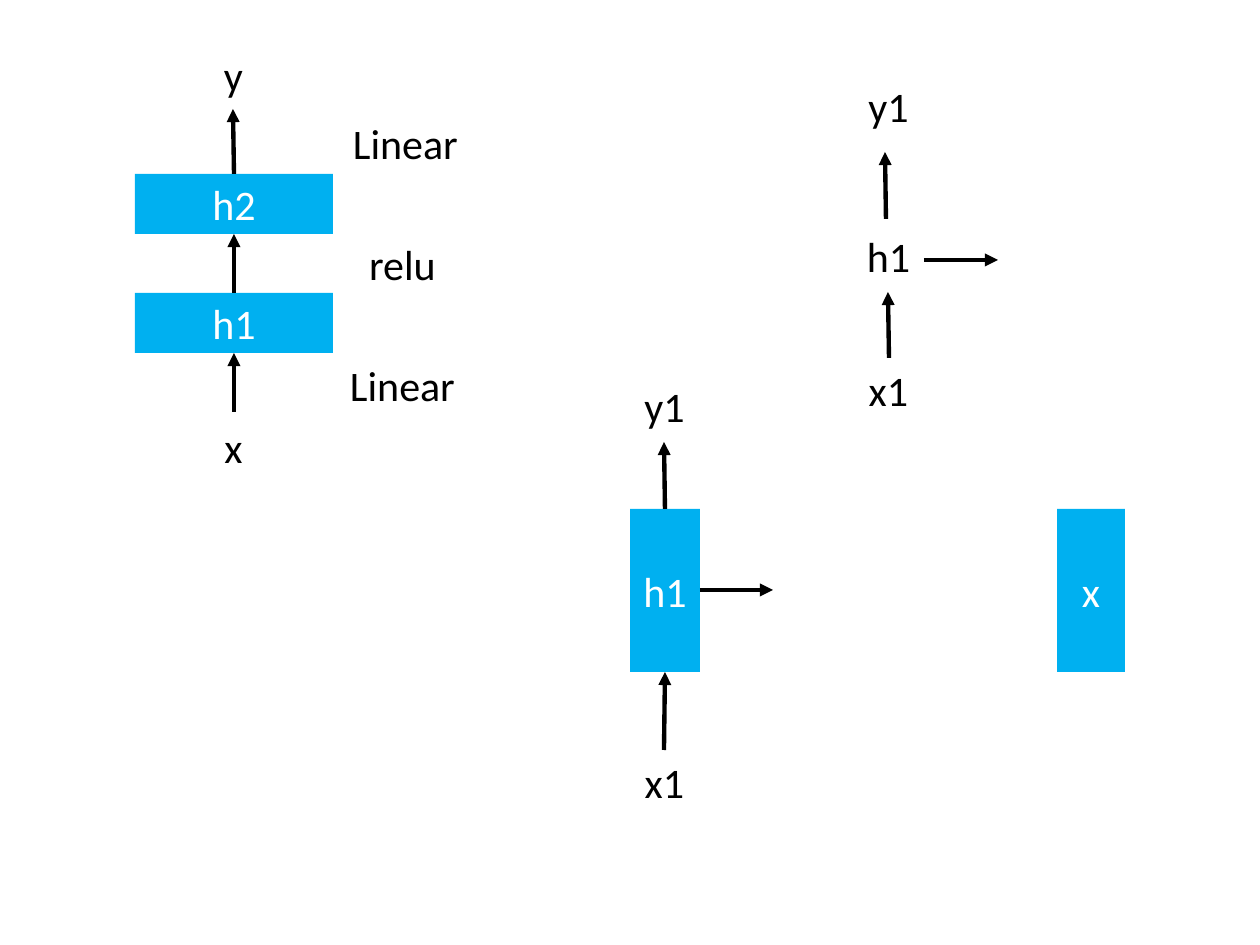
from dataclasses import dataclass

from lxml.etree import SubElement
from pptx import Presentation
from pptx.dml.color import RGBColor
from pptx.enum.shapes import MSO_CONNECTOR, MSO_SHAPE
from pptx.enum.text import MSO_ANCHOR, MSO_AUTO_SIZE, PP_ALIGN
from pptx.oxml.ns import qn
from pptx.util import Inches, Pt


@dataclass
class Theme:
    font: str = "Calibri"
    size: int = 24
    arrow_width: float = 2.5
    box: RGBColor = RGBColor(0x00, 0xB0, 0xF0)
    box_text: RGBColor = RGBColor(0xFF, 0xFF, 0xFF)
    ink: RGBColor = RGBColor(0x00, 0x00, 0x00)


theme = Theme()


def px(*lengths):
    return [round(length * Inches(1) / 126) for length in lengths]


def write(shape, text, color):
    frame = shape.text_frame
    frame.text = text
    frame.word_wrap = True
    paragraph = frame.paragraphs[0]
    paragraph.alignment = PP_ALIGN.CENTER
    font = paragraph.runs[0].font
    font.name = theme.font
    font.size = Pt(theme.size)
    font.color.rgb = color


presentation = Presentation()
presentation.slide_width, presentation.slide_height = px(1260, 945)
slide = presentation.slides.add_slide(presentation.slide_layouts[6])

boxes = [
    ("h1", 135, 293, 198, 60),
    ("h2", 135, 174, 198, 60),
    ("h1", 630, 509, 70, 163),
    ("x", 1057, 509, 68, 163),
]
for text, *place in boxes:
    box = slide.shapes.add_shape(MSO_SHAPE.RECTANGLE, *px(*place))
    box.shadow.inherit = False
    box.fill.solid()
    box.fill.fore_color.rgb = theme.box
    box.line.fill.background()
    write(box, text, theme.box_text)
    box.text_frame.vertical_anchor = MSO_ANCHOR.MIDDLE

layer_width, node_width, label_height = 141, 87, 63
labels = [
    ("Linear", 332, 353, layer_width),
    ("relu", 332, 232, layer_width),
    ("Linear", 335, 111, layer_width),
    ("x", 190, 415, node_width),
    ("y", 190, 43, node_width),
    ("x1", 621, 750, node_width),
    ("y1", 621, 374, node_width),
    ("x1", 845, 358, node_width),
    ("h1", 845, 224, node_width),
    ("y1", 845, 74, node_width),
]
for text, left, top, width in labels:
    label = slide.shapes.add_textbox(*px(left, top, width, label_height))
    write(label, text, theme.ink)
    label.text_frame.auto_size = MSO_AUTO_SIZE.SHAPE_TO_FIT_TEXT

arrows = [
    (234, 412, 234, 353),
    (234, 293, 234, 234),
    (234, 174, 233, 109),
    (700, 590, 773, 590),
    (664, 750, 665, 672),
    (665, 509, 664, 442),
    (924, 260, 998, 260),
    (889, 358, 888, 292),
    (886, 219, 885, 152),
]
for ends in arrows:
    arrow = slide.shapes.add_connector(MSO_CONNECTOR.STRAIGHT, *px(*ends))
    arrow.line.color.rgb = theme.ink
    arrow.line.width = Pt(theme.arrow_width)
    properties = arrow.element.spPr
    SubElement(properties.find(qn("a:ln")), qn("a:tailEnd"), type="triangle")
    SubElement(properties, qn("a:effectLst"))

presentation.save("out.pptx")
